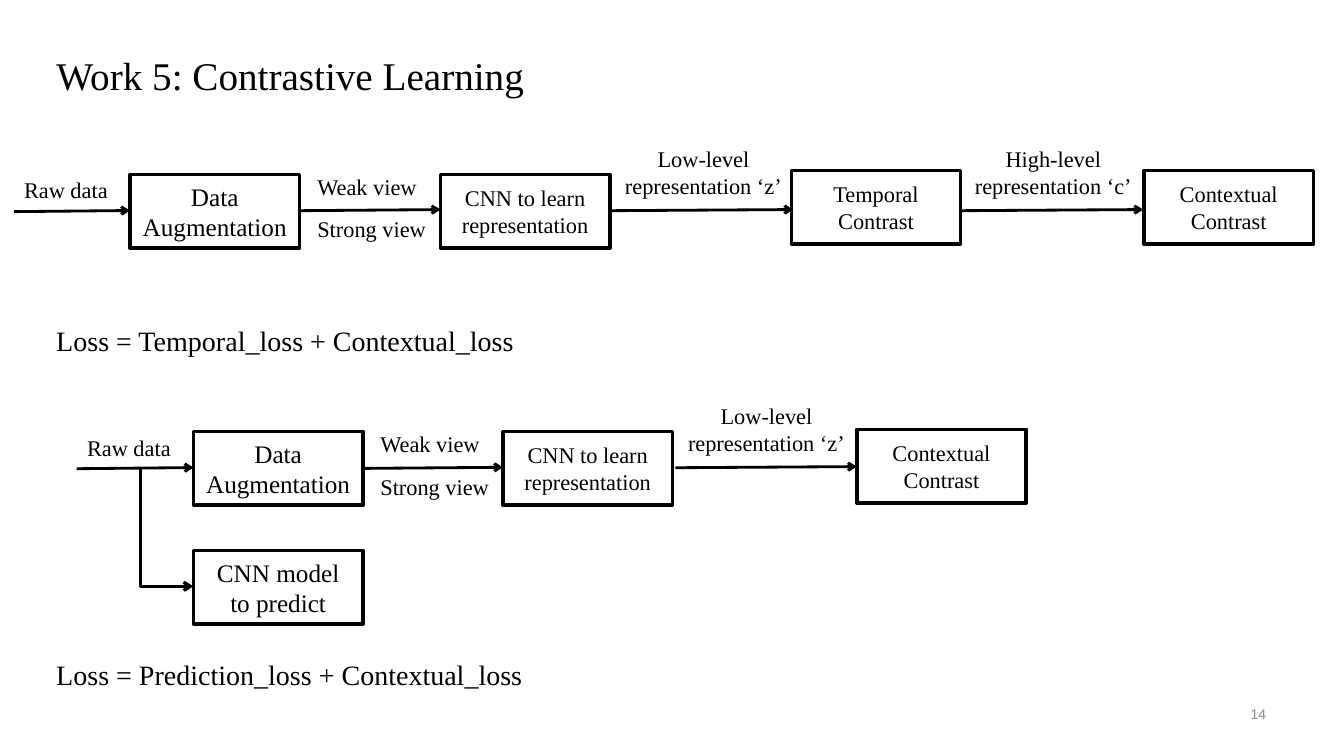
from lxml import etree
from pptx import Presentation
from pptx.dml.color import RGBColor
from pptx.enum.shapes import MSO_CONNECTOR as Connector, MSO_SHAPE as Shape
from pptx.enum.text import MSO_ANCHOR as Anchor, PP_ALIGN as Align
from pptx.oxml.ns import qn
from pptx.util import Pt

BOX_WIDTH, BOX_HEIGHT = 121, 52.6
SERIF = "Times New Roman"


def write(shape, lines, size, align=Align.LEFT, anchor=Anchor.TOP, font=SERIF, color="000000"):
    frame = shape.text_frame
    frame.word_wrap = True
    frame.vertical_anchor = anchor
    for index, line in enumerate(lines):
        paragraph = frame.paragraphs[0] if index == 0 else frame.add_paragraph()
        paragraph.alignment = align
        run = paragraph.add_run()
        run.text = line
        run.font.name = font
        run.font.size = Pt(size)
        run.font.color.rgb = RGBColor.from_string(color)


def add_arrow(kind, start_x, start_y, end_x, end_y, width):
    arrow = slide.shapes.add_connector(kind, Pt(start_x), Pt(start_y), Pt(end_x), Pt(end_y))
    arrow.line.color.rgb = RGBColor.from_string("000000")
    arrow.line.width = Pt(width)
    etree.SubElement(arrow.line._get_or_add_ln(), qn("a:tailEnd"), type="arrow")
    etree.SubElement(arrow._element.spPr, qn("a:effectLst"))
    return arrow


presentation = Presentation()
presentation.slide_width, presentation.slide_height = Pt(960), Pt(540)
slide = presentation.slides.add_slide(presentation.slide_layouts[5])

# Title
title = slide.shapes.title
title.left, title.top, title.width, title.height = Pt(33.1), Pt(33.1), Pt(774), Pt(41)
write(title, ["Work 5: Contrastive Learning"], 28)

# Process boxes: left, top, text size, lines
boxes = [
    (92.9, 124.6, 18, ["Data", "Augmentation"]),
    (314.6, 124.6, 16, ["CNN to learn representation"]),
    (565.2, 121.7, 16, ["Temporal", "Contrast"]),
    (817.2, 121.7, 16, ["Contextual", "Contrast"]),
    (138.2, 308.2, 18, ["Data", "Augmentation"]),
    (359.3, 308.2, 16, ["CNN to learn representation"]),
    (612, 306.7, 16, ["Contextual", "Contrast"]),
    (138.2, 393.1, 18, ["CNN model", "to predict"]),
]
for left, top, size, lines in boxes:
    box = slide.shapes.add_shape(Shape.FLOWCHART_PROCESS, Pt(left), Pt(top), Pt(BOX_WIDTH), Pt(BOX_HEIGHT))
    box.shadow.inherit = False
    box.fill.background()
    box.line.color.rgb = RGBColor.from_string("000000")
    box.line.width = Pt(2.5)
    frame = box.text_frame
    frame.margin_left = frame.margin_right = frame.margin_top = frame.margin_bottom = 0
    write(box, lines, size, Align.CENTER, Anchor.MIDDLE)

# Arrows along both rows: start x, start y, end x
arrows = [
    (10.1, 151.2, 92.9), (214.6, 150.5, 314.6), (437, 150.5, 566.6), (686.9, 150.5, 816.5),
    (54.7, 334.8, 138.2), (259.2, 334.6, 359.3), (482.4, 334.1, 612),
]
for start_x, start_y, end_x in arrows:
    add_arrow(Connector.STRAIGHT, start_x, start_y, end_x, start_y - 0.8, 2)

# Branch from the raw data down to the prediction model
start_x, start_y, end_x, end_y = 100.1, 334.8, 138.2, 418.8
center_x, center_y = (start_x + end_x) / 2, (start_y + end_y) / 2
half_drop, half_run = (end_y - start_y) / 2, (end_x - start_x) / 2
branch = add_arrow(Connector.ELBOW, center_x - half_drop, center_y + half_run,
                   center_x + half_drop, center_y - half_run, 2.25)
properties = branch._element.spPr
properties.find(qn("a:xfrm")).set("rot", "5400000")
properties.find(qn("a:prstGeom")).set("prst", "bentConnector2")

# Labels that both rows share, then the label of the last arrow
labels = []
for shift_x, shift_y in [(0, 0), (45, 183.9)]:
    labels += [
        (10.1 + shift_x, 122.4 + shift_y, 78, Align.LEFT, ["Raw data"]),
        (219.6 + shift_x, 119.8 + shift_y, 88, Align.LEFT, ["Weak view"]),
        (219.6 + shift_x, 150.3 + shift_y, 94, Align.LEFT, ["Strong view"]),
        (437 + shift_x, 100.1 + shift_y, 131, Align.CENTER, ["Low-level", "representation ‘z’"]),
    ]
labels.append((686.9, 100.1, 131, Align.CENTER, ["High-level", "representation ‘c’"]))
for left, top, width, align, lines in labels:
    label = slide.shapes.add_textbox(Pt(left), Pt(top), Pt(width), Pt(7.2 + 19.4 * len(lines)))
    write(label, lines, 16, align)

# Loss formulas
for top, formula in [(227.5, "Loss = Temporal_loss + Contextual_loss"),
                     (465.8, "Loss = Prediction_loss + Contextual_loss")]:
    loss = slide.shapes.add_textbox(Pt(33.1), Pt(top), Pt(435), Pt(31.5))
    write(loss, [formula], 20)

# Slide number
number = slide.shapes.add_textbox(Pt(699.1), Pt(497.5), Pt(212.4), Pt(25.2))
write(number, ["14"], 10, Align.RIGHT, Anchor.MIDDLE, "Arial", "8C8C8C")

presentation.save("out.pptx")
